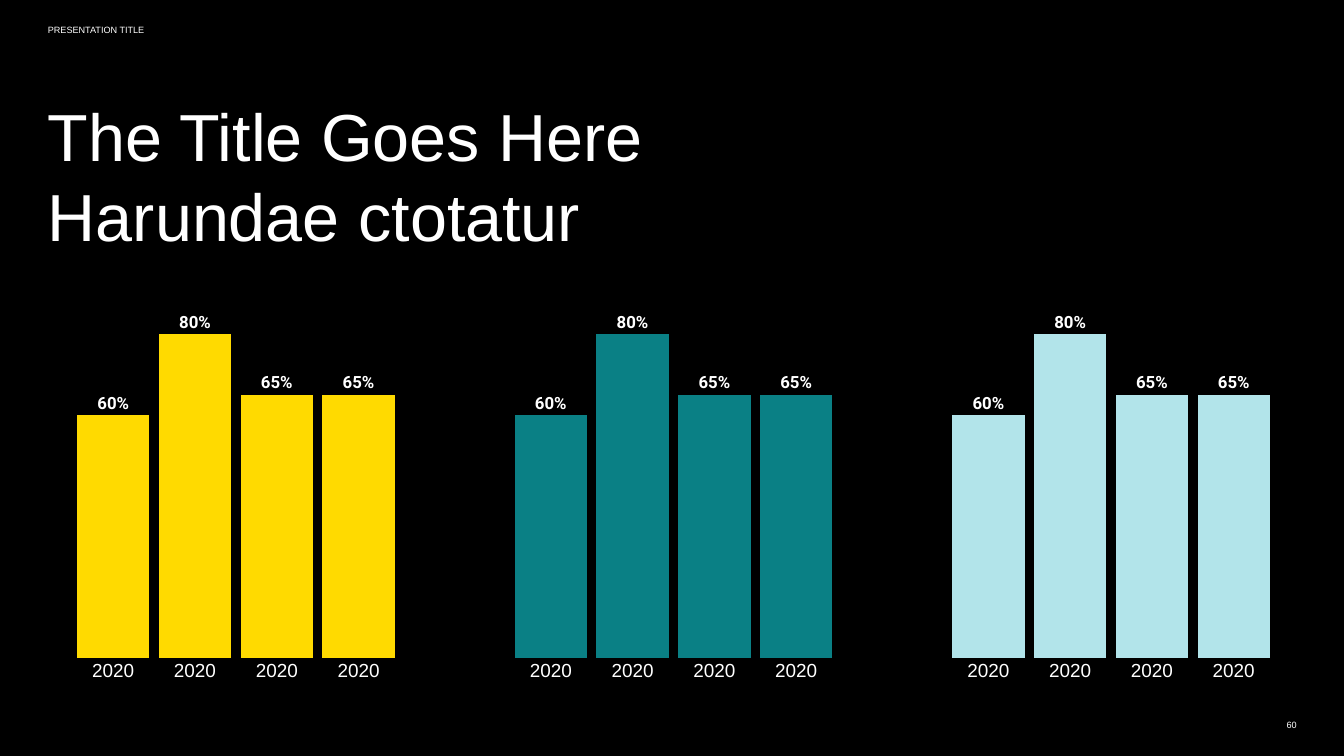
from pptx import Presentation
from pptx.chart.data import CategoryChartData
from pptx.dml.color import RGBColor
from pptx.enum.chart import XL_CHART_TYPE, XL_LABEL_POSITION, XL_TICK_MARK
from pptx.enum.text import MSO_ANCHOR, MSO_AUTO_SIZE, PP_ALIGN
from pptx.oxml import parse_xml
from pptx.oxml.ns import nsdecls
from pptx.util import Inches, Pt

COLUMN = XL_CHART_TYPE.COLUMN_CLUSTERED
OUTSIDE = XL_LABEL_POSITION.OUTSIDE_END
NO_TICK = XL_TICK_MARK.NONE
TOP, MIDDLE = MSO_ANCHOR.TOP, MSO_ANCHOR.MIDDLE
LEFT, RIGHT = PP_ALIGN.LEFT, PP_ALIGN.RIGHT
NO_FIT = MSO_AUTO_SIZE.NONE

BLACK = RGBColor(0, 0, 0)
WHITE = RGBColor(255, 255, 255)
YELLOW = RGBColor(0xFF, 0xDA, 0x00)
TEAL = RGBColor(0x0A, 0x80, 0x85)
AQUA = RGBColor(0xB2, 0xE4, 0xEA)

HEADER = "PRESENTATION TITLE"
TITLE = "The Title Goes Here\vHarundae ctotatur"
PAGE = "60"
YEARS = ["2020"] * 4
VALUES = [0.6, 0.8, 0.65, 0.65]
FILLS = [YELLOW, TEAL, AQUA]

WIDTH, HEIGHT = 26.66, 15
MARGIN = 0.95
CHART_LEFT, CHART_TOP, CHART_WIDE, CHART_HIGH = 1.3, 5.67, 6.76, 8.04
STEP = 8.68
PLOT = {"x": 0.02, "y": 0.02, "w": 0.96, "h": 0.9}


def set_font(font, size, color, name="Arial", bold=False):
    font.size = Pt(size)
    font.name = name
    font.bold = bold
    font.color.rgb = color


def set_text(shape, text, size, align=LEFT, anchor=TOP):
    frame = shape.text_frame
    frame.margin_left = frame.margin_right = 0
    frame.margin_top = frame.margin_bottom = 0
    frame.word_wrap = True
    frame.auto_size = NO_FIT
    frame.vertical_anchor = anchor
    frame.text = text
    line = frame.paragraphs[0]
    line.alignment = align
    line.line_spacing = 1.0
    set_font(line.font, size, WHITE)


def add_text(slide, box, *style):
    set_text(slide.shapes.add_textbox(*map(Inches, box)), *style)


def add_bars(slide, left, color):
    data = CategoryChartData(number_format="0%")
    data.categories = YEARS
    data.add_series("Series 1", VALUES)
    box = map(Inches, (left, CHART_TOP, CHART_WIDE, CHART_HIGH))
    chart = slide.shapes.add_chart(COLUMN, *box, data).chart
    chart.has_legend = chart.has_title = False
    set_font(chart.font, 10, BLACK)

    years = chart.category_axis
    years.major_tick_mark = years.minor_tick_mark = NO_TICK
    years.format.line.fill.background()
    set_font(years.tick_labels.font, 27, WHITE)

    scale = chart.value_axis
    scale.minimum_scale, scale.maximum_scale = 0, 0.9
    scale.has_major_gridlines = False
    scale.visible = False

    plot = chart.plots[0]
    plot.gap_width, plot.overlap = 13, -27
    plot.vary_by_categories = False
    bars = plot.series[0]
    bars.format.fill.solid()
    bars.format.fill.fore_color.rgb = color

    labels = bars.data_labels
    labels.show_value = True
    labels.number_format, labels.number_format_is_linked = "0%", False
    labels.position = OUTSIDE
    set_font(labels.font, 24, WHITE, "Roboto", True)

    sizes = "".join(f'<c:{key} val="{share}"/>' for key, share in PLOT.items())
    area = chart.element.chart.plotArea
    for old in area.findall("{*}layout"):
        area.remove(old)
    area.insert(0, parse_xml(
        f'<c:layout {nsdecls("c")}><c:manualLayout><c:layoutTarget val="inner"/>'
        f'<c:xMode val="edge"/><c:yMode val="edge"/>{sizes}'
        '</c:manualLayout></c:layout>'))


def main():
    deck = Presentation()
    deck.slide_width, deck.slide_height = Inches(WIDTH), Inches(HEIGHT)
    slide = deck.slides.add_slide(deck.slide_layouts[5])
    slide.background.fill.solid()
    slide.background.fill.fore_color.rgb = BLACK

    title = slide.shapes.title
    title.left, title.top = Inches(MARGIN), Inches(1.89)
    title.width, title.height = Inches(19.69), Inches(3)
    set_text(title, TITLE, 95)

    add_text(slide, (MARGIN, 0.49, 9, 0.47), HEADER, 13)
    for col, color in enumerate(FILLS):
        add_bars(slide, CHART_LEFT + col * STEP, color)
    add_text(slide, (24.59, 14.18, 1.13, 0.42), PAGE, 13, RIGHT, MIDDLE)
    deck.save("out.pptx")


if __name__ == "__main__":
    main()
